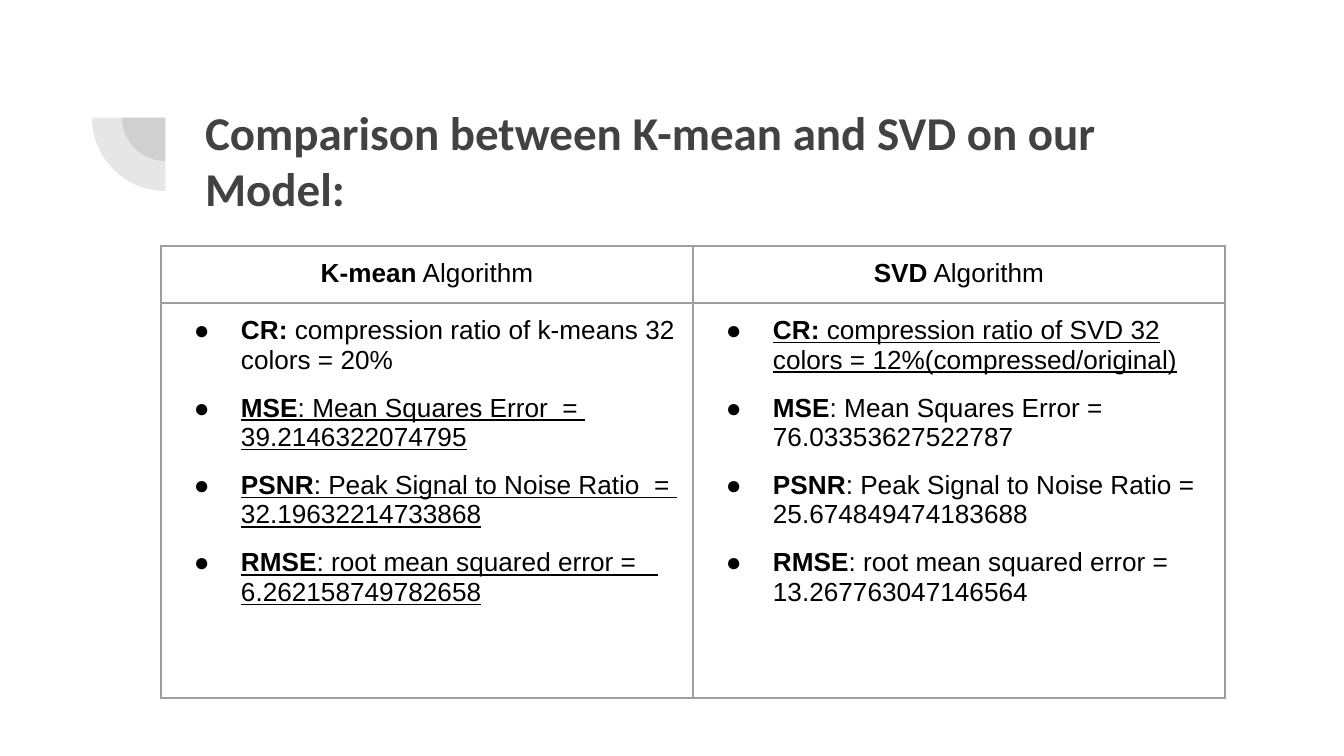
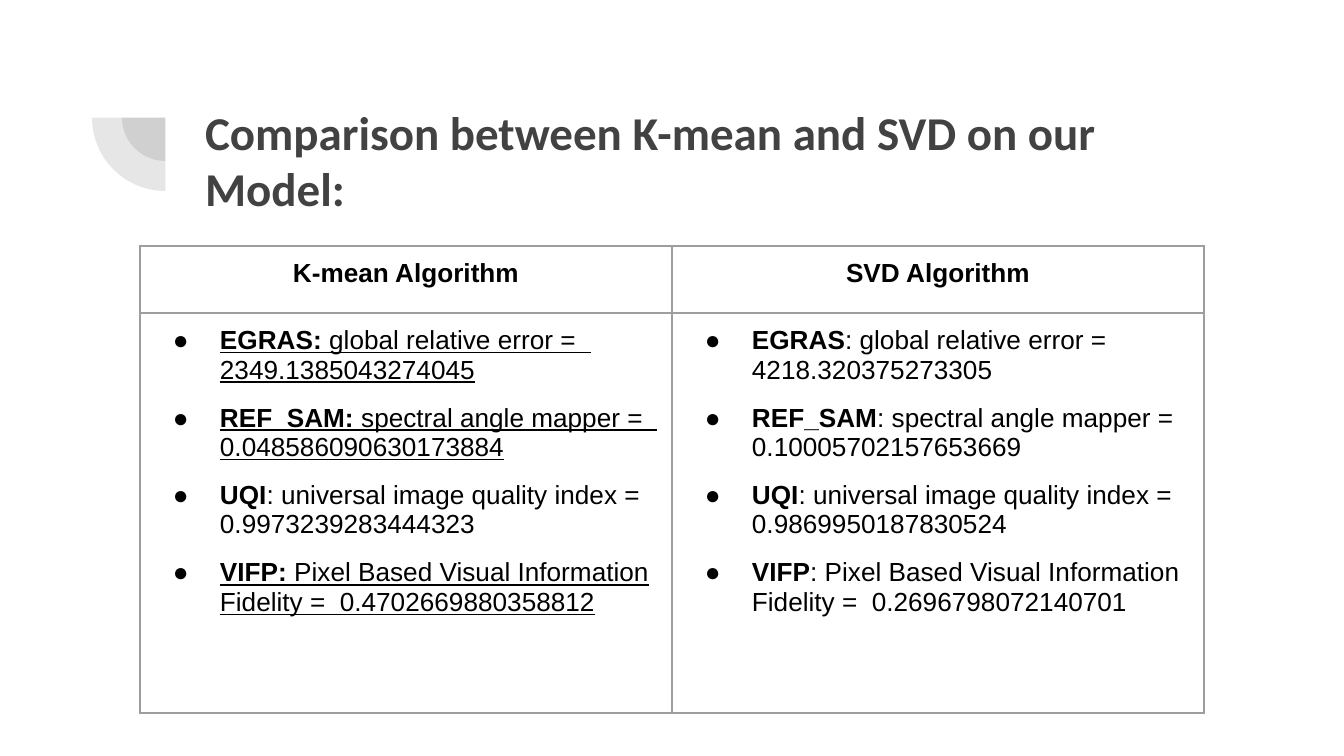
from lxml.etree import SubElement
from pptx import Presentation
from pptx.dml.color import RGBColor
from pptx.enum.shapes import MSO_SHAPE
from pptx.enum.text import MSO_ANCHOR, MSO_AUTO_SIZE, PP_ALIGN
from pptx.oxml.ns import qn
from pptx.util import Emu, Pt

# Content: a cell line is (bold part, plain part, underlined)
TITLE = "Comparison between K-mean and SVD on our Model:"
SLIDES = [
    {
        "left": 161,
        "rows": (57, 395),
        "heads": [("K-mean", " Algorithm", False), ("SVD", " Algorithm", False)],
        "lists": [
            [
                ("CR: ", "compression ratio of k-means 32 colors = 20%", False),
                ("MSE", ": Mean Squares Error  =  39.2146322074795", True),
                ("PSNR", ": Peak Signal to Noise Ratio  =  32.19632214733868", True),
                ("RMSE", ": root mean squared error =    6.262158749782658", True),
            ],
            [
                ("CR: ", "compression ratio of SVD 32 colors = 12%(compressed/original)", True),
                ("MSE", ": Mean Squares Error =  76.03353627522787", False),
                ("PSNR", ": Peak Signal to Noise Ratio =  25.674849474183688", False),
                ("RMSE", ": root mean squared error = 13.267763047146564", False),
            ],
        ],
    },
    {
        "left": 140,
        "rows": (67, 400),
        "heads": [("K-mean Algorithm", "", False), ("SVD Algorithm", "", False)],
        "lists": [
            [
                ("EGRAS: ", "global relative error =   2349.1385043274045", True),
                ("REF_SAM: ", "spectral angle mapper =   0.048586090630173884", True),
                ("UQI", ": universal image quality index =  0.9973239283444323", False),
                ("VIFP: ", "Pixel Based Visual Information Fidelity =  0.4702669880358812", True),
            ],
            [
                ("EGRAS", ": global relative error =   4218.320375273305", False),
                ("REF_SAM", ": spectral angle mapper =   0.10005702157653669", False),
                ("UQI", ": universal image quality index =  0.9869950187830524", False),
                ("VIFP", ": Pixel Based Visual Information Fidelity =  0.2696798072140701", False),
            ],
        ],
    },
]

# Shared look
HUES = {"title": "424242", "text": "000000", "rule": "9E9E9E"}
SCALE = 914400 / 134.4
TOP, WIDE = 246, 532
PIES = [(122, 74, 87), (92, 44, 147)]


def px(n):
    return Emu(round(n * SCALE))


def hue(key):
    return RGBColor.from_string(HUES[key])


TITLE_FONT = {"name": "Calibri", "size": Pt(25.2), "bold": True}
CELL_FONT = {"name": "Arial", "size": Pt(14)}
TITLE_BOX = {"left": px(192), "top": px(87), "width": px(1034), "height": px(146)}
INSET = {f"margin_{side}": px(13) for side in ("left", "top", "right", "bottom")}
TITLE_FRAME = {**INSET, "word_wrap": True, "auto_size": MSO_AUTO_SIZE.NONE,
               "vertical_anchor": MSO_ANCHOR.MIDDLE}


def style(item, values):
    for name, value in values.items():
        setattr(item, name, value)


def add_run(para, text, key, values):
    run = para.add_run()
    run.text = text
    style(run.font, values)
    run.font.color.rgb = hue(key)


def add_line(para, line):
    bold, plain, under = line
    for text, heavy in ((bold, True), (plain, False)):
        if text:
            add_run(para, text, "text", {**CELL_FONT, "bold": heavy, "underline": under})


def add_bullet(para):
    props = para._p.get_or_add_pPr()
    props.set("marL", str(px(67)))
    props.set("indent", str(-px(47)))
    SubElement(props, qn("a:buFont"), typeface="Arial")
    SubElement(props, qn("a:buChar"), char="●")


def frame_cell(cell):
    props = cell._tc.get_or_add_tcPr()
    for side in ("lnL", "lnR", "lnT", "lnB"):
        edge = SubElement(props, qn(f"a:{side}"), w=str(Pt(0.75)))
        SubElement(SubElement(edge, qn("a:solidFill")), qn("a:srgbClr"), val=HUES["rule"])
    cell.fill.background()
    style(cell, INSET)


# Corner mark and title place, kept on the layout
def set_layout(layout, slide):
    style(layout.placeholders[0], TITLE_BOX)
    for left, top, size in PIES:
        pie = slide.shapes.add_shape(MSO_SHAPE.PIE, px(left), px(top), px(size), px(size))
        pie.adjustments[0], pie.adjustments[1] = 108, 162
        pie.rotation = 270
        pie.shadow.inherit = False
        pie.fill.solid()
        pie.fill.fore_color.rgb = hue("title")
        color = pie.element.spPr.find(".//" + qn("a:srgbClr"))
        SubElement(color, qn("a:alpha"), val="13000")
        pie.line.fill.background()
        layout.shapes.element.append(pie.element)


def add_title(slide):
    frame = slide.shapes.title.text_frame
    style(frame, TITLE_FRAME)
    para = frame.paragraphs[0]
    para.alignment = PP_ALIGN.LEFT
    add_run(para, TITLE, "title", TITLE_FONT)


def add_grid(slide, data):
    heads, rows = data["heads"], data["rows"]
    table = slide.shapes.add_table(len(rows), len(heads), px(data["left"]), px(TOP),
                                   px(WIDE * len(heads)), px(sum(rows))).table
    style(table, {"first_row": False, "horz_banding": False})
    for row, high in zip(table.rows, rows):
        row.height = px(high)
    for col, (head, lines) in enumerate(zip(heads, data["lists"])):
        table.columns[col].width = px(WIDE)
        top, body = table.cell(0, col), table.cell(1, col)
        frame_cell(top)
        frame_cell(body)
        para = top.text_frame.paragraphs[0]
        para.alignment = PP_ALIGN.CENTER
        add_line(para, head)
        for i, line in enumerate(lines):
            para = body.text_frame.add_paragraph() if i else body.text_frame.paragraphs[0]
            if i:
                para.space_before = Pt(10)
            add_bullet(para)
            add_line(para, line)


def main():
    deck = Presentation()
    deck.slide_width, deck.slide_height = px(1344), px(756)
    layout = deck.slide_layouts[5]
    for i, data in enumerate(SLIDES):
        slide = deck.slides.add_slide(layout)
        if i == 0:
            set_layout(layout, slide)
        add_title(slide)
        add_grid(slide, data)
    deck.save("out.pptx")


if __name__ == "__main__":
    main()
